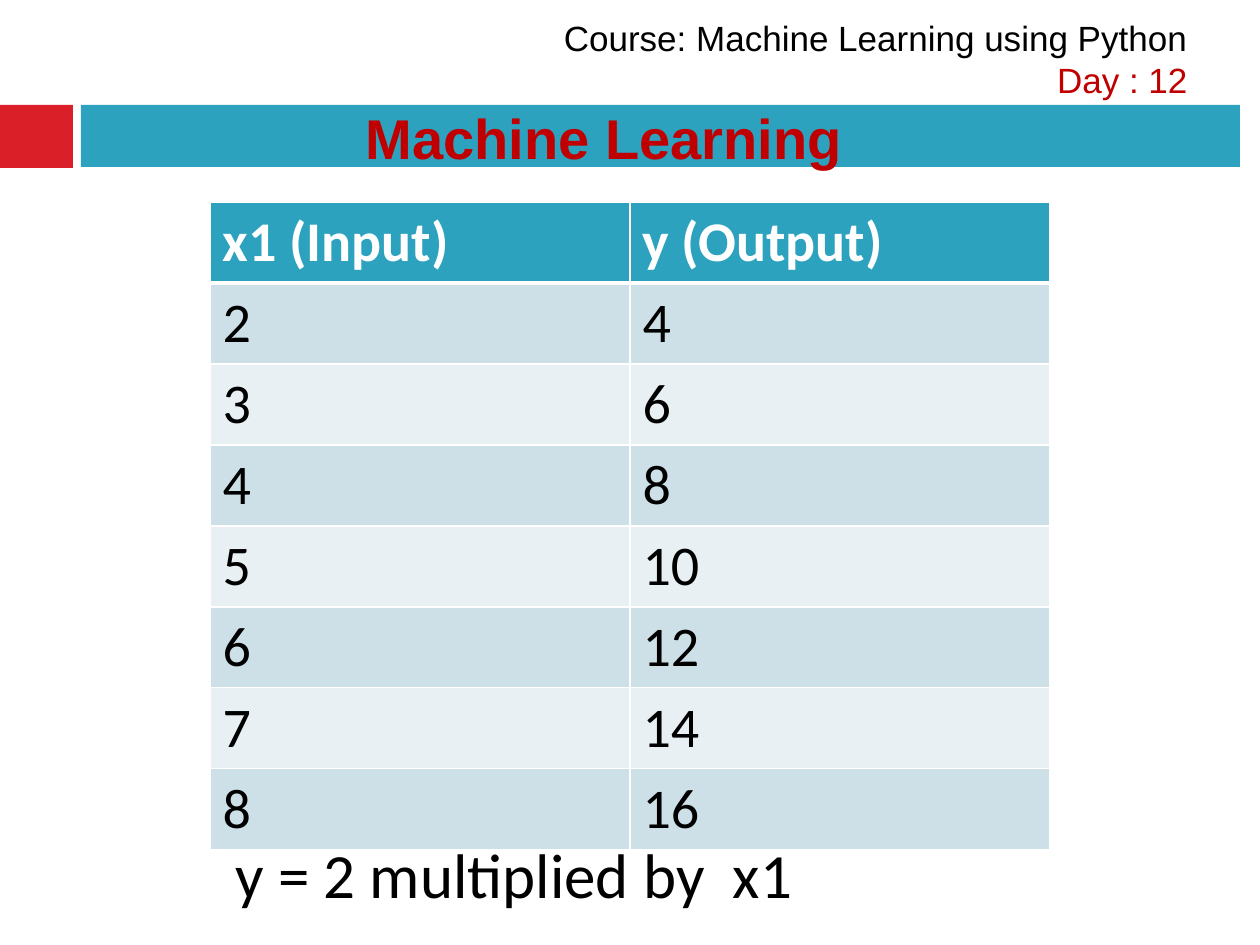
"""Build a Machine Learning slide with a table of inputs and outputs."""
from lxml.etree import SubElement
from pptx import Presentation
from pptx.dml.color import RGBColor
from pptx.enum.shapes import MSO_SHAPE
from pptx.enum.text import MSO_ANCHOR, PP_ALIGN
from pptx.oxml.ns import qn
from pptx.util import Pt

PX = 914400 // 126
RED = RGBColor(0xDA, 0x1F, 0x28)
DARK_RED = RGBColor(0xC0, 0x00, 0x00)
TEAL = RGBColor(0x2D, 0xA2, 0xBF)
BAND_DARK = RGBColor(0xCD, 0xE0, 0xE8)
BAND_LIGHT = RGBColor(0xE8, 0xF0, 0xF4)
BLACK = RGBColor(0, 0, 0)
WHITE = RGBColor(255, 255, 255)

BARS = [((0, 105, 73, 63), RED), ((81, 105, 1159, 62), TEAL)]
COURSE = [("Course: Machine Learning using Python", BLACK), ("Day : 12", DARK_RED)]
TITLE = [("Machine Learning", DARK_RED)]
FORMULA = [("y = 2 multiplied by  x1", BLACK)]
HEADER = ("x1 (Input)", "y (Output)")
INPUTS = range(2, 9)
TABLE_X, TABLE_Y, COL_W, ROW_H = 210, 202, 420, 81


def px(*values):
    return [v * PX for v in values]


def style(p, size, color, font, bold=False):
    p.font.size = Pt(size)
    p.font.color.rgb = color
    p.font.name = font
    p.font.bold = bold


def add_text(s, box, lines, size, font, align=PP_ALIGN.LEFT, bold=False):
    tf = s.shapes.add_textbox(*px(*box)).text_frame
    tf.word_wrap = True
    for i, (text, color) in enumerate(lines):
        p = tf.paragraphs[0] if i == 0 else tf.add_paragraph()
        p.text = text
        p.alignment = align
        style(p, size, color, font, bold)
    return tf


def set_borders(cell, **widths):
    tcPr = cell._tc.get_or_add_tcPr()
    for i, (side, width) in enumerate(widths.items()):
        ln = SubElement(tcPr, qn(f"a:ln{side}"), w=str(Pt(width)))
        fill = SubElement(ln, qn("a:solidFill"))
        SubElement(fill, qn("a:srgbClr"), val=str(WHITE))
        tcPr.insert(i, ln)


def add_data_table(s, rows):
    n, m = len(rows), len(rows[0])
    table = s.shapes.add_table(
        n, m, *px(TABLE_X, TABLE_Y, COL_W * m, ROW_H * n)).table
    for i, row in enumerate(rows):
        head = i == 0
        for j, text in enumerate(row):
            cell = table.cell(i, j)
            cell.text = str(text)
            style(cell.text_frame.paragraphs[0], 32,
                  WHITE if head else BLACK, "Calibri", head)
            cell.fill.solid()
            cell.fill.fore_color.rgb = (
                TEAL if head else BAND_DARK if i % 2 else BAND_LIGHT)
            set_borders(cell, L=1, R=1, T=3 if i == 1 else 1, B=3 if head else 1)


def main():
    prs = Presentation()
    prs.slide_width, prs.slide_height = px(1260, 945)
    s = prs.slides.add_slide(prs.slide_layouts[6])
    for box, color in BARS:
        sp = s.shapes.add_shape(MSO_SHAPE.RECTANGLE, *px(*box))
        sp.shadow.inherit = False
        sp.fill.solid()
        sp.fill.fore_color.rgb = color
        sp.line.fill.background()
    add_text(s, (525, 10, 675, 97), COURSE, 20, "Arial", PP_ALIGN.RIGHT)
    tf = add_text(s, (84, 21, 1040, 158), TITLE, 32, "Arial", PP_ALIGN.CENTER, True)
    tf.vertical_anchor = MSO_ANCHOR.BOTTOM
    tf.margin_left, tf.margin_right = px(15, 15)
    tf.margin_top, tf.margin_bottom = px(8, 8)
    add_data_table(s, [HEADER] + [(x, 2 * x) for x in INPUTS])
    add_text(s, (223, 829, 893, 89), FORMULA, 36, "Calibri")
    prs.save("out.pptx")


if __name__ == "__main__":
    main()
